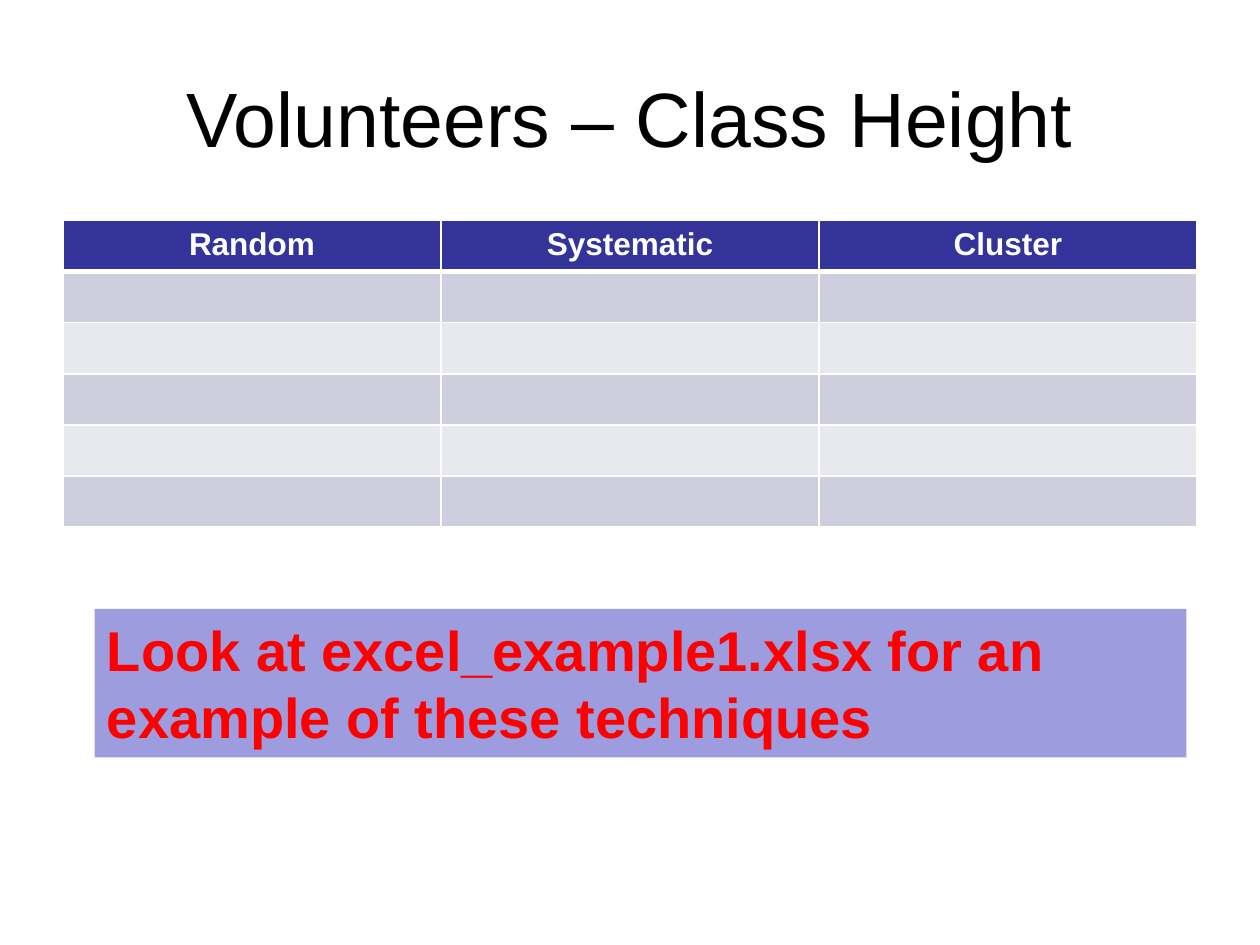
from lxml import etree
from pptx import Presentation
from pptx.dml.color import RGBColor
from pptx.enum import shapes, text
from pptx.oxml import ns
from pptx.util import Pt

COLORS = {
    "title": "000000",
    "header": "333399",
    "band_dark": "CECEDE",
    "band_light": "E8E8EF",
    "white": "FFFFFF",
    "note_fill": "9C9CDF",
    "note_text": "FF0000",
}
FONT = "Arial"
TECHNIQUES = ["Random", "Systematic", "Cluster"]
EMPTY_ROWS = 5


def rgb(name):
    return RGBColor.from_string(COLORS[name])


def write(frame, words, size, color, bold=False, align=text.PP_ALIGN.CENTER):
    frame.text = words
    paragraph = frame.paragraphs[0]
    paragraph.alignment = align
    font = paragraph.runs[0].font
    font.name, font.size, font.bold = FONT, Pt(size), bold
    font.color.rgb = rgb(color)


def set_borders(cell, top=1, bottom=1):
    properties = cell._tc.get_or_add_tcPr()
    widths = {"lnL": 1, "lnR": 1, "lnT": top, "lnB": bottom}
    for side, width in widths.items():
        line = etree.SubElement(properties, ns.qn(f"a:{side}"), w=str(Pt(width)))
        fill = etree.SubElement(line, ns.qn("a:solidFill"))
        etree.SubElement(fill, ns.qn("a:srgbClr"), val=COLORS["white"])


def fill_cell(cell, color):
    cell.fill.solid()
    cell.fill.fore_color.rgb = rgb(color)


def add_title(slide, words):
    title = slide.shapes.add_textbox(Pt(36), Pt(21.6), Pt(648), Pt(90))
    frame = title.text_frame
    frame.word_wrap = True
    frame.vertical_anchor = text.MSO_ANCHOR.MIDDLE
    write(frame, words, 44, "title")


def add_techniques_table(slide):
    row_height = Pt(29.2)
    row_count = EMPTY_ROWS + 1
    table = slide.shapes.add_table(
        row_count, len(TECHNIQUES), Pt(36), Pt(126), Pt(648), row_height * row_count
    ).table
    for row in table.rows:
        row.height = row_height

    # Header row, with a thick rule below
    for cell, technique in zip(table.rows[0].cells, TECHNIQUES):
        set_borders(cell, bottom=3)
        fill_cell(cell, "header")
        write(cell.text_frame, technique, 18, "white", bold=True)

    # Empty banded rows
    for index in range(1, row_count):
        for cell in table.rows[index].cells:
            set_borders(cell, top=3 if index == 1 else 1)
            fill_cell(cell, "band_dark" if index % 2 else "band_light")


def add_note(slide, words):
    note = slide.shapes.add_shape(
        shapes.MSO_SHAPE.RECTANGLE, Pt(54), Pt(348), Pt(624), Pt(84.8)
    )
    note.shadow.inherit = False
    note.fill.solid()
    note.fill.fore_color.rgb = rgb("note_fill")
    note.line.fill.background()
    frame = note.text_frame
    frame.word_wrap = True
    frame.vertical_anchor = text.MSO_ANCHOR.TOP
    frame.auto_size = text.MSO_AUTO_SIZE.SHAPE_TO_FIT_TEXT
    write(frame, words, 32, "note_text", bold=True, align=text.PP_ALIGN.LEFT)


def main():
    presentation = Presentation()
    presentation.slide_width, presentation.slide_height = Pt(720), Pt(540)
    slide = presentation.slides.add_slide(presentation.slide_layouts[6])
    add_title(slide, "Volunteers – Class Height")
    add_techniques_table(slide)
    add_note(slide, "Look at excel_example1.xlsx for an example of these techniques")
    presentation.save("out.pptx")


if __name__ == "__main__":
    main()
